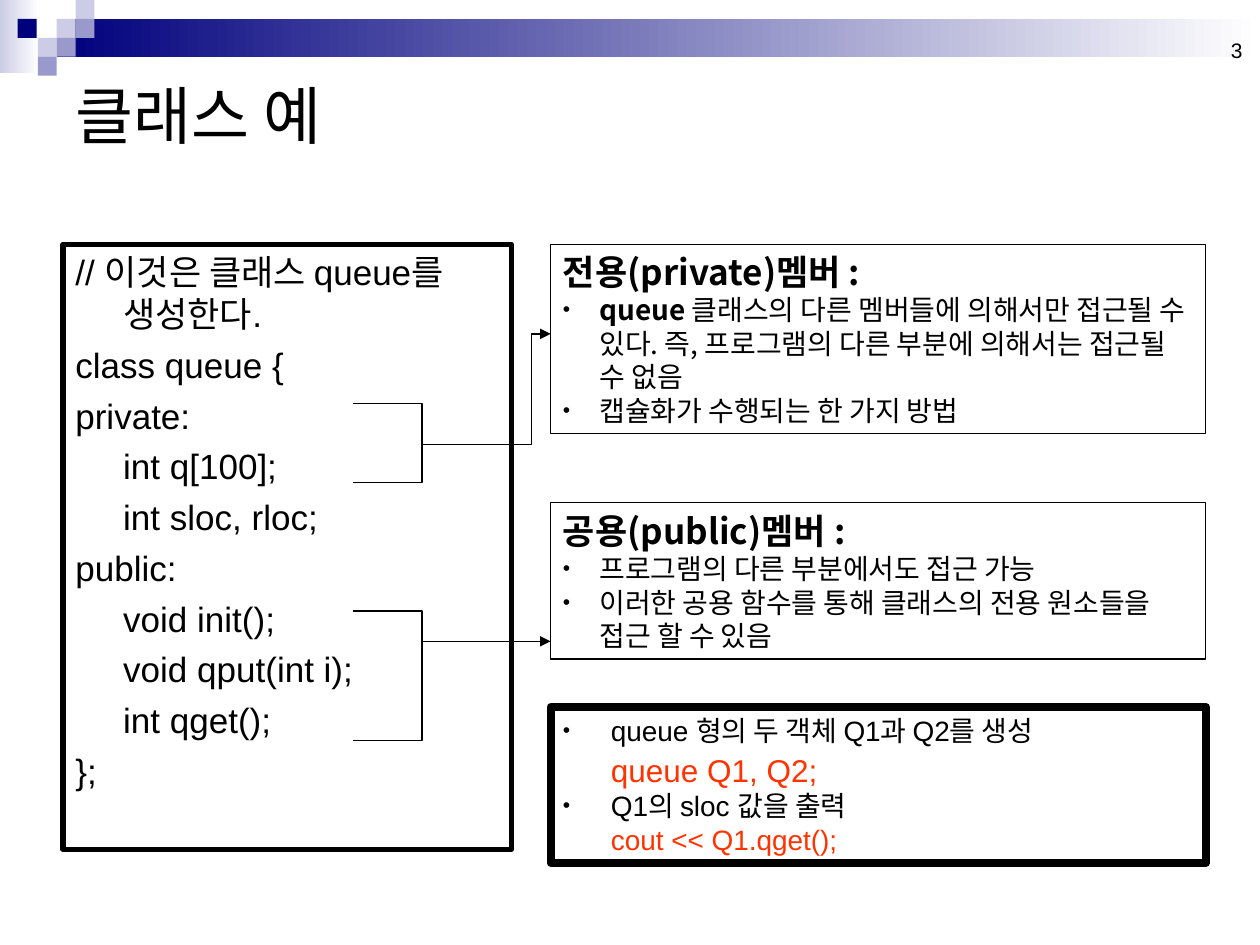
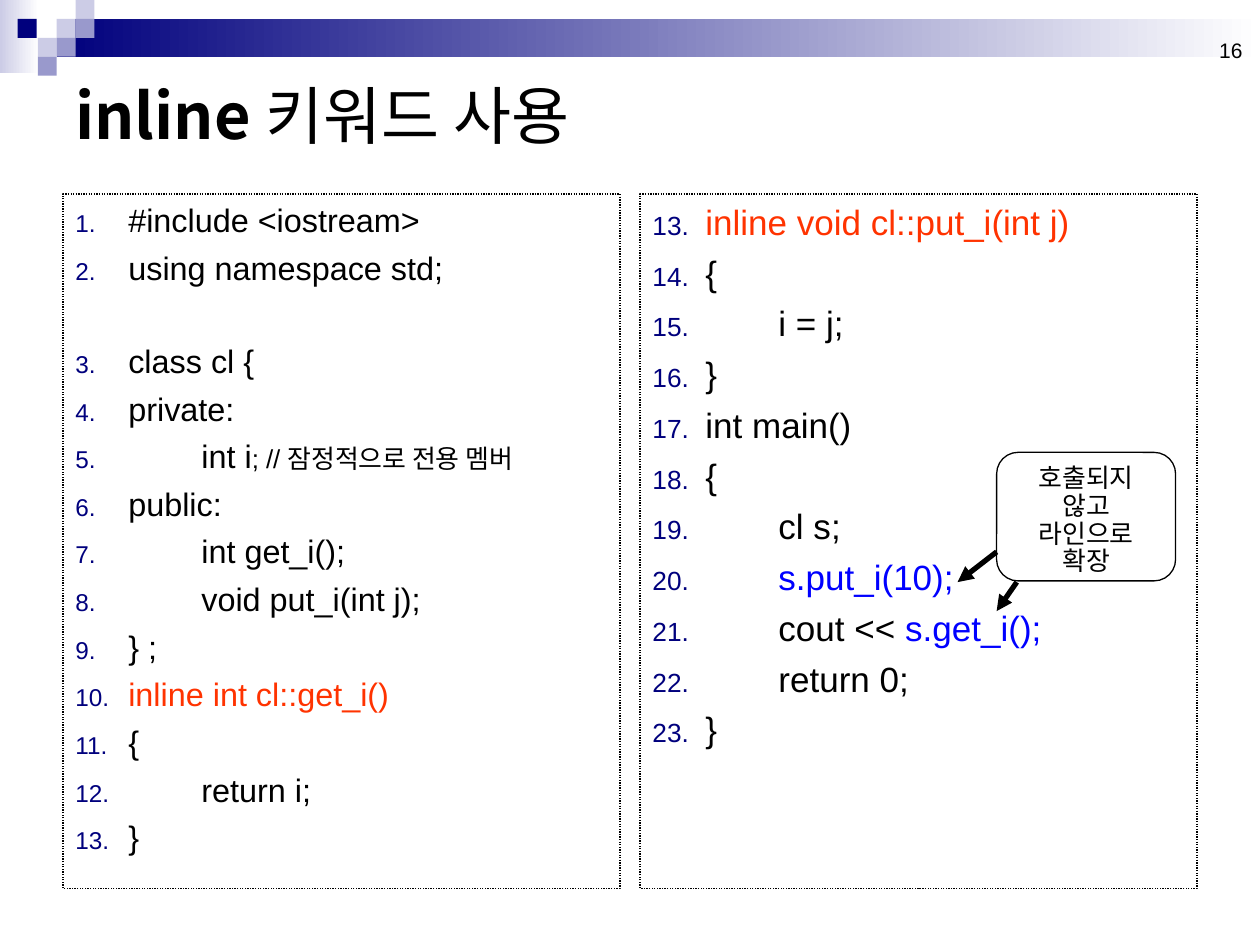
from lxml.etree import SubElement
from pptx import Presentation
from pptx.dml.color import RGBColor
from pptx.enum.dml import MSO_LINE
from pptx.enum.shapes import MSO_CONNECTOR, MSO_SHAPE
from pptx.enum.text import MSO_ANCHOR, PP_ALIGN
from pptx.oxml.ns import qn
from pptx.util import Inches, Pt

COLORS = {"ink": "000000", "navy": "00007D", "lilac": "9999CC", "pale": "CCCCE6",
          "white": "FFFFFF", "red": "FF3300", "blue": "0000FF"}
SANS, KOREAN = "Arial", "Noto Sans CJK KR"

# Shared header: two gradient bands, then small squares (left, top, colour)
BANDS = [((0, 0, 0.31, 0.58), "pale"), ((0.45, 0.15, 9.55, 0.3), "navy")]
SQUARE = 0.15
SQUARES = [(0.45, 0.15, "pale"), (0.6, 0, "pale"), (0.6, 0.15, "lilac"), (0.3, 0.3, "pale"),
           (0.14, 0.15, "navy"), (0.45, 0.3, "lilac"), (0.3, 0.45, "lilac")]

# A paragraph is a dict: "runs" holds (text, run format) pairs, the rest is paragraph format.
RED, BLUE, BOLD = {"color": "red"}, {"color": "blue"}, {"bold": True}
HEADING = {"size": 20, "bold": True}

CLASS_CODE = ["// 이것은 클래스 queue를 생성한다.", "class queue {", "private:", "\tint q[100];",
              "\tint sloc, rloc;", "public:", "\tvoid init();", "\tvoid qput(int i);",
              "\tint qget();", "};"]
MEMBER_NOTES = [
    (1.94, 1.5, "전용(private)멤버 :", [
        [("queue ", BOLD), ("클래스의 다른 멤버들에 의해서만 접근될 수 있다. 즉, "
                            "프로그램의 다른 부분에 의해서는 접근될 수 없음", {})],
        [("캡슐화가 수행되는 한 가지 방법", {})]]),
    (3.99, 1.24, "공용(public)멤버 :", [
        [("프로그램의 다른 부분에서도 접근 가능", {})],
        [("이러한 공용 함수를 통해 클래스의 전용 원소들을 접근 할 수 있음", {})]]),
]
OBJECT_NOTES = [
    {"runs": [("queue 형의 두 객체 Q1과 Q2를 생성", {})], "bullet": "•"},
    {"runs": [("queue Q1, Q2;", {"size": 18, **RED})], "indent": 0, "before": 2},
    {"runs": [("Q1의 sloc 값을 출력", {})], "bullet": "•"},
    {"runs": [("cout << Q1.qget();", RED)], "indent": 0},
]
BRACKETS = [(3.2, 3.83), (4.85, 5.88)]
BRACKET_LEFT, BRACKET_RIGHT = 2.8, 3.35
NOTES_LEFT, NOTES_WIDTH = 4.37, 5.2
PRIVATE_ARROW = [(3.34, 3.53), (4.22, 3.53), (4.22, 2.65), (4.37, 2.65)]

INLINE_LEFT = [
    [("#include <iostream>", {})], [("using namespace std;", {})], [("class cl {", {})],
    [("private:", {})], [("\tint i", {}), ("; // 잠정적으로 전용 멤버", {"size": 14.8})],
    [("public:", {})], [("\tint get_i();", {})], [("\tvoid put_i(int j);", {})],
    [("} ;", {})], [("inline int cl::get_i()", RED)], [("{", {})], [("\treturn i;", {})],
    [("}", {})],
]
INLINE_RIGHT = [
    [("inline void cl::put_i(int j)", RED)], [("{", {})], [("\ti = j;", {})], [("}", {})],
    [("int main()", {})], [("{", {})], [("\tcl s;", {})], [("\t", {}), ("s.put_i(10);", BLUE)],
    [("\tcout << ", {}), ("s.get_i();", BLUE)], [("\treturn 0;", {})], [("}", {})],
]
# left, first number, text size, code lines, extra space before some lines
LISTINGS = [(0.5, 1, 18.5, INLINE_LEFT, {2: 31}), (5.08, 13, 20, INLINE_RIGHT, {})]
CALLOUT_ARROWS = [((7.91, 4.38), (7.6, 4.62)), ((8.07, 4.62), (7.91, 4.85))]


def rgb(name):
    return RGBColor.from_string(COLORS[name])


def add_tag(parent, name, **attributes):
    return SubElement(parent, qn(name), attributes)


def style_line(shape, width, dash=None, arrow=False):
    shape.line.color.rgb = rgb("ink")
    shape.line.width = Pt(width)
    if dash:
        shape.line.dash_style = dash
    if arrow:
        add_tag(shape._element.spPr.find(qn("a:ln")), "a:tailEnd", type="triangle")


def add_marker(properties, bullet, color):
    """Give a paragraph a bullet character, or a number when bullet is an int."""
    color_tag = add_tag(properties, "a:buClr")
    add_tag(color_tag, "a:srgbClr", val=COLORS[color])
    add_tag(properties, "a:buSzPct", val="75000")
    add_tag(properties, "a:buFont", typeface=SANS)
    if isinstance(bullet, int):
        add_tag(properties, "a:buAutoNum", type="arabicPeriod", startAt=str(bullet))
    else:
        add_tag(properties, "a:buChar", char=bullet)


def add_run(para, text, size, font=SANS, color="ink", bold=False):
    span = para.add_run()
    span.text = text
    for name, value in {"size": Pt(size), "name": font, "bold": bold}.items():
        setattr(span.font, name, value)
    span.font.color.rgb = rgb(color)
    add_tag(span._r.get_or_add_rPr(), "a:ea", typeface=KOREAN)


def fill_text(shape, paras, size, font=SANS, anchor=MSO_ANCHOR.TOP, hang=0, tab=None,
              marker_color="ink", align=PP_ALIGN.LEFT, spacing=None):
    frame = shape.text_frame
    frame.word_wrap = True
    frame.vertical_anchor = anchor
    for index, row in enumerate(paras):
        para = frame.paragraphs[0] if index == 0 else frame.add_paragraph()
        para.alignment = align
        para.space_before = Pt(row.get("before", 0) if index else 0)
        if spacing:
            para.line_spacing = spacing
        properties = para._p.get_or_add_pPr()
        properties.set("marL", str(Inches(hang)))
        properties.set("indent", str(Inches(row.get("indent", -hang))))
        if "bullet" in row:
            add_marker(properties, row["bullet"], marker_color)
        if tab:
            tabs = add_tag(properties, "a:tabLst")
            add_tag(tabs, "a:tab", pos=str(Inches(tab)), algn="l")
        for text, look in row["runs"]:
            add_run(para, text, **{"size": size, "font": font, **look})


def add_shape(page, place, kind=MSO_SHAPE.RECTANGLE):
    shape = page.shapes.add_shape(kind, *map(Inches, place))
    shape.shadow.inherit = False
    shape.fill.background()
    shape.line.fill.background()
    return shape


def add_frame(page, place, width, dash=None, kind=MSO_SHAPE.RECTANGLE):
    frame = add_shape(page, place, kind)
    style_line(frame, width, dash)
    return frame


def add_path(page, points, arrow=False):
    """Draw an open line through the points."""
    start, *rest = [(Inches(x), Inches(y)) for x, y in points]
    builder = page.shapes.build_freeform(*start)
    builder.add_line_segments(rest, close=False)
    outline = builder.convert_to_shape()
    outline.shadow.inherit = False
    outline.fill.background()
    style_line(outline, 0.75, arrow=arrow)


def add_arrow(page, start, end, width):
    arrow = page.shapes.add_connector(MSO_CONNECTOR.STRAIGHT, *map(Inches, (*start, *end)))
    style_line(arrow, width, arrow=True)
    add_tag(arrow._element.spPr, "a:effectLst")


def add_page(deck, number, title_runs):
    """Add a slide with the shared header, page number and title."""
    page = deck.slides.add_slide(deck.slide_layouts[6])
    for place, color in BANDS:
        band = add_shape(page, place)
        band.fill.gradient()
        band.fill.gradient_angle = 0
        for stop, name, position in zip(band.fill.gradient_stops, (color, "white"), (0, 1)):
            stop.color.rgb = rgb(name)
            stop.position = position
    for left, top, color in SQUARES:
        square = add_shape(page, (left, top, SQUARE, SQUARE))
        square.fill.solid()
        square.fill.fore_color.rgb = rgb(color)
    number_box = page.shapes.add_textbox(*map(Inches, (7.63, 0.05, 2.33, 0.5)))
    fill_text(number_box, [{"runs": [(number, {})]}], 12, anchor=MSO_ANCHOR.BOTTOM,
              align=PP_ALIGN.RIGHT)
    title_box = page.shapes.add_textbox(*map(Inches, (0.5, 0.5, 9, 0.81)))
    fill_text(title_box, [{"runs": title_runs}], 36, KOREAN, MSO_ANCHOR.MIDDLE)
    return page


def build_class_page(deck):
    page = add_page(deck, "3", [("클래스 예", {})])
    code_box = add_frame(page, (0.5, 1.94, 3.56, 4.8), 3)
    fill_text(code_box, [{"runs": [(line, {})], "before": 5} for line in CLASS_CODE], 20,
              hang=0.38)
    for top, bottom in BRACKETS:
        add_path(page, [(BRACKET_LEFT, top), (BRACKET_RIGHT, top),
                        (BRACKET_RIGHT, bottom), (BRACKET_LEFT, bottom)])
    for top, height, heading, notes in MEMBER_NOTES:
        note_box = add_frame(page, (NOTES_LEFT, top, NOTES_WIDTH, height), 0.75)
        paras = [{"runs": [(heading, HEADING)]}]
        paras += [{"runs": runs, "bullet": "•"} for runs in notes]
        fill_text(note_box, paras, 16, KOREAN, MSO_ANCHOR.MIDDLE, hang=0.29)
    object_box = add_frame(page, (NOTES_LEFT, 5.61, NOTES_WIDTH, 1.24), 4.5)
    fill_text(object_box, OBJECT_NOTES, 16, anchor=MSO_ANCHOR.MIDDLE, hang=0.38)
    add_path(page, PRIVATE_ARROW, arrow=True)
    add_arrow(page, (BRACKET_RIGHT, 5.09), (NOTES_LEFT, 5.09), 0.75)


def build_inline_page(deck):
    page = add_page(deck, "16", [("inline ", BOLD), ("키워드 사용", {})])
    for left, first, size, lines, gaps in LISTINGS:
        listing = add_frame(page, (left, 1.54, 4.42, 5.51), 0.75, MSO_LINE.ROUND_DOT)
        paras = [{"runs": runs, "bullet": first, "before": gaps.get(index, 5)}
                 for index, runs in enumerate(lines)]
        fill_text(listing, paras, size, hang=0.42, tab=1, marker_color="navy")
    callout = add_frame(page, (7.91, 3.59, 1.42, 1.02), 0.75, kind=MSO_SHAPE.ROUNDED_RECTANGLE)
    fill_text(callout, [{"runs": [("호출되지 않고 라인으로 확장", {})]}], 14.8, KOREAN,
              align=PP_ALIGN.CENTER, spacing=0.9)
    for start, end in CALLOUT_ARROWS:
        add_arrow(page, start, end, 3)


def main():
    deck = Presentation()
    deck.slide_width, deck.slide_height = Inches(10), Inches(7.5)
    build_class_page(deck)
    build_inline_page(deck)
    deck.save("out.pptx")


if __name__ == "__main__":
    main()
